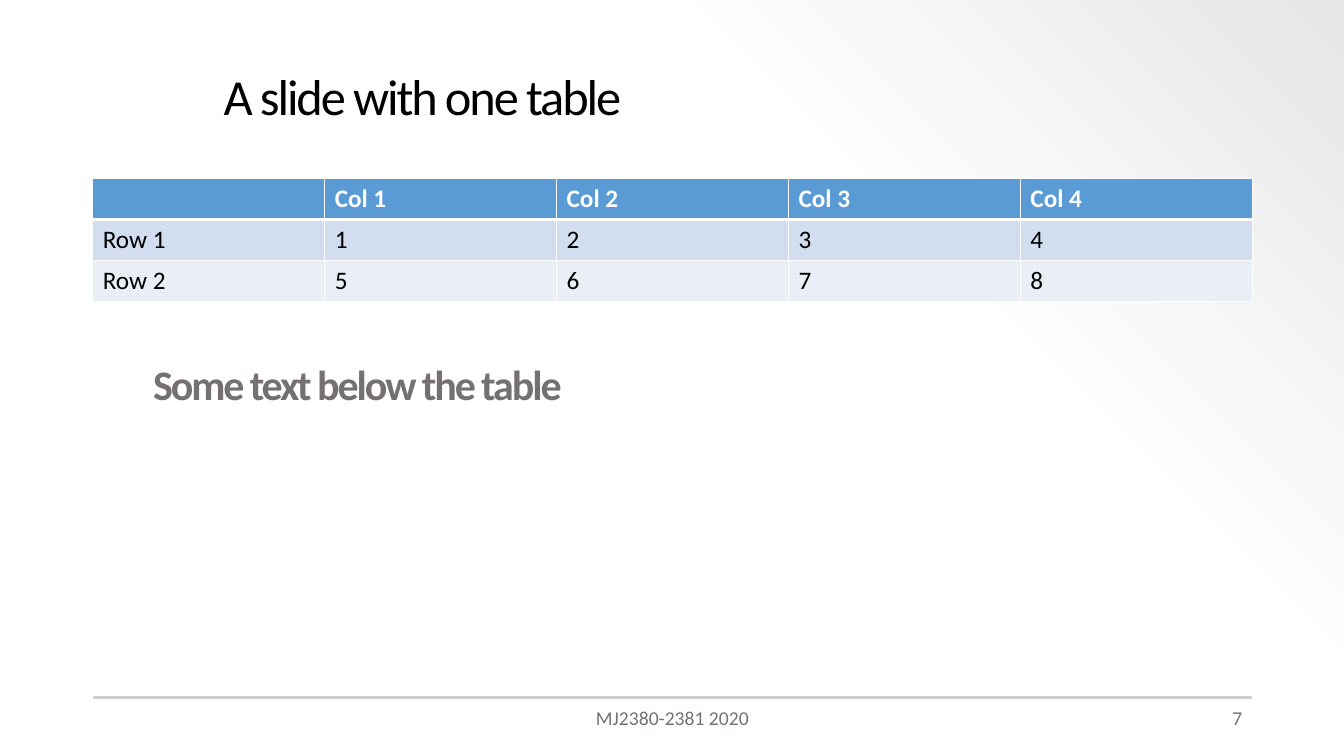
from copy import deepcopy

from lxml import etree
from pptx import Presentation
from pptx.dml.color import RGBColor
from pptx.enum import shapes, text
from pptx.oxml import ns
from pptx.util import Inches, Pt

WHITE = RGBColor(0xFF, 0xFF, 0xFF)
BLACK = RGBColor(0, 0, 0)
GRAY = RGBColor(0x76, 0x71, 0x71)
RULE_GRAY = RGBColor(0xD0, 0xCE, 0xCE)
NEAR_WHITE = RGBColor(0xFD, 0xFD, 0xFD)
CORNER_GRAY = RGBColor(0xE7, 0xE6, 0xE6)
HEADER_BLUE = RGBColor(0x5B, 0x9B, 0xD5)
BANDS = (RGBColor(0xD2, 0xDE, 0xEF), RGBColor(0xEA, 0xEF, 0xF7))
FONT = "Calibri"
ROWS = (
    ("", "Col 1", "Col 2", "Col 3", "Col 4"),
    ("Row 1", "1", "2", "3", "4"),
    ("Row 2", "5", "6", "7", "8"),
)


def add_element(parent, tag, **attributes):
    """Append a DrawingML element to its parent."""
    return etree.SubElement(parent, ns.qn(tag), **attributes)


def style_font(font, size, color, bold=False):
    """Set the typeface, size, colour and weight of a font."""
    font.name = FONT
    font.size = Pt(size)
    font.bold = bold
    font.color.rgb = color


def paint_background(slide):
    """Fill the background with a diagonal white to gray gradient."""
    fill = slide.background.fill
    fill.gradient()
    fill.gradient_angle = 45
    stop_list = slide.element.xpath(".//a:gsLst")[0]
    stop_list.insert(1, deepcopy(stop_list[0]))
    stops = ((0, WHITE), (0.69, NEAR_WHITE), (1, CORNER_GRAY))
    for stop, (position, color) in zip(fill.gradient_stops, stops):
        stop.position = position
        stop.color.rgb = color
    add_element(stop_list[-1][0], "a:alpha", val="50000")


def add_rule(slide):
    """Draw the line above the footer."""
    rule = slide.shapes.add_connector(
        shapes.MSO_CONNECTOR.STRAIGHT,
        Inches(0.92), Inches(6.92), Inches(12.42), Inches(6.92))
    rule.line.color.rgb = RULE_GRAY
    rule.line.width = Pt(1.5)
    add_element(rule.element.spPr, "a:effectLst")


def add_text(slide, box, content, size, color, bold=False,
             align=text.PP_ALIGN.LEFT, spacing=None):
    """Add a one-paragraph text box and return its shape."""
    shape = slide.shapes.add_textbox(*map(Inches, box))
    frame = shape.text_frame
    frame.word_wrap = True
    frame.text = content
    paragraph = frame.paragraphs[0]
    paragraph.alignment = align
    run = paragraph.runs[0]
    style_font(run.font, size, color, bold)
    if spacing is not None:
        run.font._element.set("spc", str(int(spacing * 100)))
    return shape


def set_border(cell, side, width):
    """Draw one white border of a cell."""
    line = add_element(cell._tc.get_or_add_tcPr(), f"a:ln{side}", w=str(Pt(width)))
    fill = add_element(line, "a:solidFill")
    add_element(fill, "a:srgbClr", val=str(WHITE))


def style_cell(cell, row):
    """Set the borders, fill and font of a cell by its row."""
    widths = {"L": 1, "R": 1, "T": 3 if row == 1 else 1, "B": 3 if row == 0 else 1}
    for side, width in widths.items():
        set_border(cell, side, width)
    header = row == 0
    cell.fill.solid()
    cell.fill.fore_color.rgb = HEADER_BLUE if header else BANDS[row - 1]
    style_font(cell.text_frame.paragraphs[0].font, 18, WHITE if header else BLACK, header)
    for run in cell.text_frame.paragraphs[0].runs:
        style_font(run.font, 18, WHITE if header else BLACK, header)


def add_data_table(slide):
    """Add the table with its header and two banded rows."""
    table = slide.shapes.add_table(
        len(ROWS), len(ROWS[0]),
        Inches(0.92), Inches(1.77), Inches(11.5), Inches(1.22)).table
    for row, values in enumerate(ROWS):
        for column, value in enumerate(values):
            cell = table.cell(row, column)
            cell.text = value
            style_cell(cell, row)


def main():
    """Build the slide and save it."""
    presentation = Presentation()
    presentation.slide_width = Inches(13.33)
    presentation.slide_height = Inches(7.5)
    slide = presentation.slides.add_slide(presentation.slide_layouts[6])
    paint_background(slide)
    add_rule(slide)
    add_data_table(slide)
    add_text(slide, (4.42, 6.95, 4.5, 0.4), "MJ2380-2381 2020", 14, GRAY,
             align=text.PP_ALIGN.CENTER)
    add_text(slide, (9.42, 6.95, 3, 0.4), "7", 14, GRAY, align=text.PP_ALIGN.RIGHT)

    title = add_text(slide, (2.12, 0.37, 10.3, 1.22), "A slide with one table",
                     36, BLACK, spacing=-1.5).text_frame
    title.vertical_anchor = text.MSO_ANCHOR.MIDDLE
    title.paragraphs[0].line_spacing = 0.9

    body = add_text(slide, (0.92, 3.56, 8.5, 1.64), "Some text below the table",
                    30, GRAY, bold=True, spacing=-1.5).text_frame
    body.margin_top = body.margin_bottom = 0
    body.paragraphs[0]._p.get_or_add_pPr().set("marL", str(Inches(0.5)))

    presentation.save("out.pptx")


if __name__ == "__main__":
    main()
